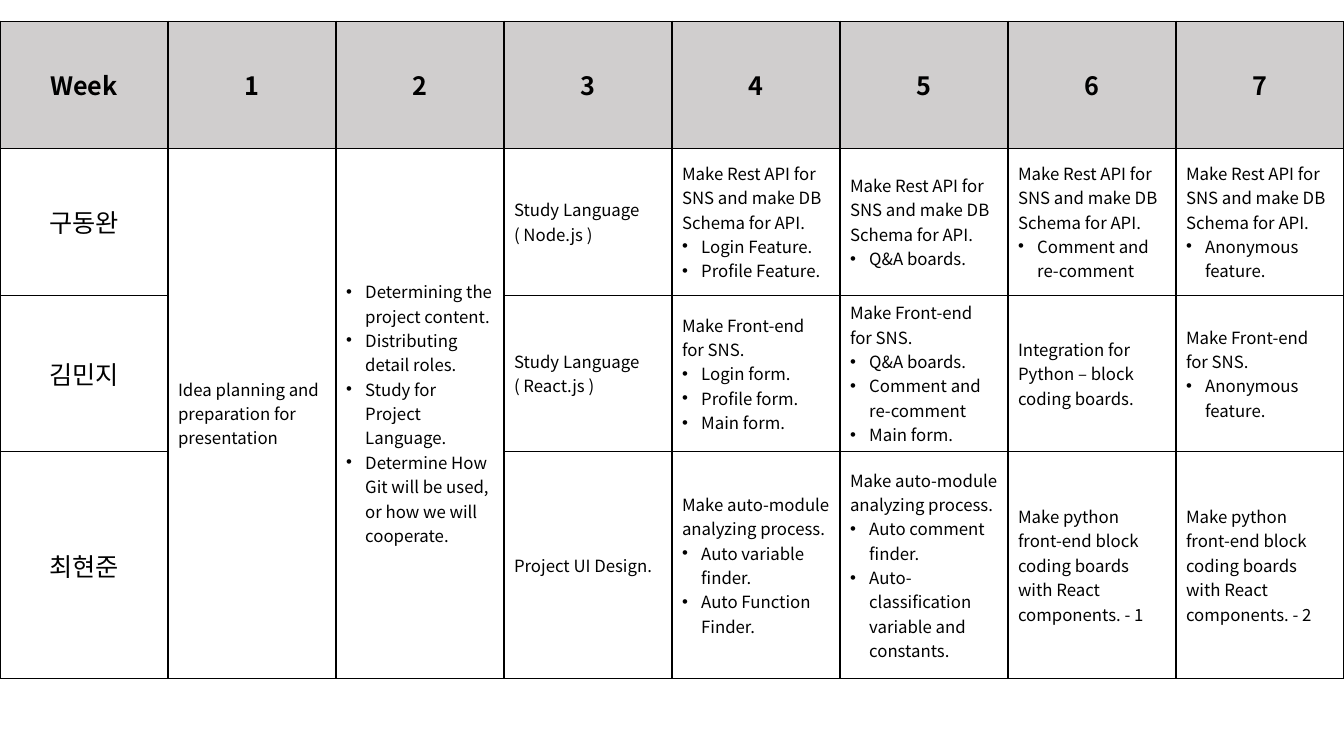
"""Weekly project plan as a table of members by week."""
from lxml.etree import SubElement
from pptx import Presentation
from pptx.dml.color import RGBColor
from pptx.enum.text import MSO_ANCHOR, PP_ALIGN
from pptx.oxml import parse_xml
from pptx.oxml.ns import nsdecls, qn
from pptx.util import Inches, Pt

FONT = "Noto Sans CJK KR"
BLACK = RGBColor(0x00, 0x00, 0x00)
WHITE = RGBColor(0xFF, 0xFF, 0xFF)
GREY = RGBColor(0xD0, 0xCE, 0xCE)
INDENT = Inches(0.19)
ROW_HEIGHTS = [1.26, 1.46, 1.26, 2.25]

API = "Make Rest API for SNS and make DB Schema for API."
FRONT = "Make Front-end for SNS."
AUTO = "Make auto-module analyzing process."
BLOCK = "Make python front-end block coding boards with React components. - "

IDEA = ["Idea planning and preparation for presentation"]
ROLES = [
    "• Determining the project content.",
    "• Distributing detail roles.",
    "• Study for Project Language.",
    "• Determine How Git will be used, or how we will cooperate.",
]
PLAN = [
    [["Week"]] + [[str(week)] for week in range(1, 8)],
    [["구동완"], IDEA, ROLES, ["Study Language ( Node.js )"],
     [API, "• Login Feature.", "• Profile Feature."],
     [API, "• Q&A boards."],
     [API, "• Comment and re-comment"],
     [API, "• Anonymous feature."]],
    [["김민지"], [], [], ["Study Language ( React.js )"],
     [FRONT, "• Login form.", "• Profile form.", "• Main form."],
     [FRONT, "• Q&A boards.", "• Comment and re-comment", "• Main form."],
     ["Integration for Python – block coding boards."],
     [FRONT, "• Anonymous feature."]],
    [["최현준"], [], [], ["Project UI Design."],
     [AUTO, "• Auto variable finder.", "• Auto Function Finder."],
     [AUTO, "• Auto comment finder.",
      "• Auto-classification variable and constants."],
     [BLOCK + "1"],
     [BLOCK + "2"]],
]


def style_cell(cell, color):
    """Fill the cell and draw its four borders."""
    cell.fill.solid()
    cell.fill.fore_color.rgb = color
    cell.vertical_anchor = MSO_ANCHOR.MIDDLE
    for i, side in enumerate("LRTB"):
        line = parse_xml(
            f'<a:ln{side} {nsdecls("a")} w="{Pt(1)}"><a:solidFill>'
            f'<a:srgbClr val="{BLACK}"/></a:solidFill></a:ln{side}>')
        cell._tc.get_or_add_tcPr().insert(i, line)


def write_line(p, line, is_title, bold):
    """Write one paragraph, with a bullet when the line begins with one."""
    text = line.removeprefix("• ")
    if is_title:
        p.alignment = PP_ALIGN.CENTER
    if text != line:
        pPr = p._p.get_or_add_pPr()
        pPr.set("marL", str(INDENT))
        pPr.set("indent", str(-INDENT))
        SubElement(pPr, qn("a:buFont")).set("typeface", "Arial")
        SubElement(pPr, qn("a:buChar")).set("char", "•")
    r = p.add_run()
    r.text = text
    r.font.size = Pt(18 if is_title else 12)
    r.font.bold = bold
    r.font.color.rgb = BLACK
    r.font.name = FONT
    SubElement(r.font._element, qn("a:ea")).set("typeface", FONT)


prs = Presentation()
prs.slide_width, prs.slide_height = Inches(13.33), Inches(7.5)
s = prs.slides.add_slide(prs.slide_layouts[6])

table = s.shapes.add_table(
    len(PLAN), len(PLAN[0]), 0, Inches(0.21),
    prs.slide_width, Inches(sum(ROW_HEIGHTS))).table
for row, height in zip(table.rows, ROW_HEIGHTS):
    row.height = Inches(height)
for col in (1, 2):
    table.cell(1, col).merge(table.cell(3, col))

for i, entries in enumerate(PLAN):
    for j, lines in enumerate(entries):
        cell = table.cell(i, j)
        style_cell(cell, GREY if i == 0 else WHITE)
        tf = cell.text_frame
        for k, line in enumerate(lines):
            p = tf.add_paragraph() if k else tf.paragraphs[0]
            write_line(p, line, i == 0 or j == 0, i == 0)

prs.save("out.pptx")
